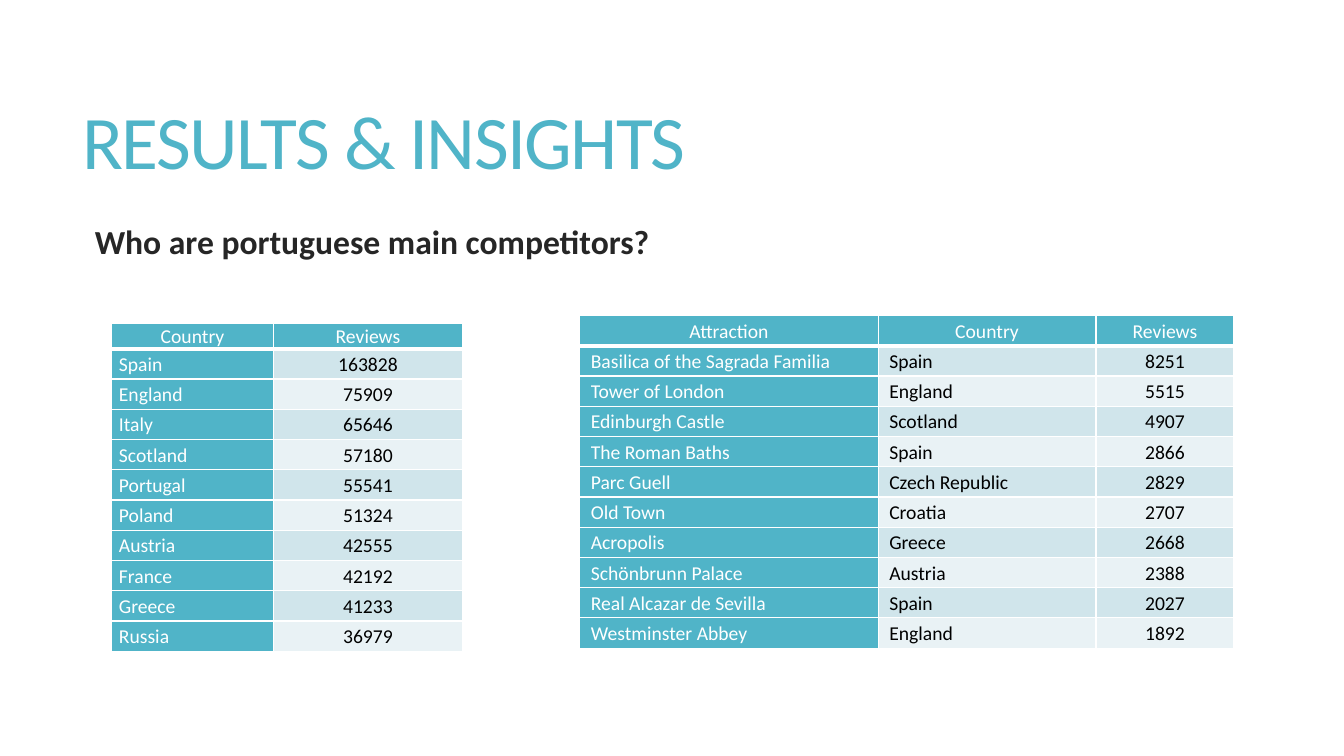
from lxml import etree
from pptx import Presentation
from pptx import util as u
from pptx.dml.color import RGBColor
from pptx.enum import text
from pptx.oxml import ns

PX = 9144  # 100 px to the inch
THEME = {
    "font": "Calibri",
    "teal": "50B4C8", "white": "FFFFFF", "black": "000000", "ink": "262626",
    "bands": ("D0E5EB", "E9F2F5"),
    "title": 54, "question": 24, "cell": 14,
    "rule": 1, "header_rule": 3,
}
LEFT, CENTER = text.PP_ALIGN.LEFT, text.PP_ALIGN.CENTER


def add_span(para, words, size, color, spacing, bold=False):
    para.line_spacing = spacing
    span = para.add_run()
    span.text = words
    span.font.name = THEME["font"]
    span.font.size = u.Pt(size)
    span.font.bold = bold
    span.font.color.rgb = RGBColor.from_string(color)
    return span


def add_borders(cell, bottom):
    properties = cell._tc.get_or_add_tcPr()
    for side in "LRTB":
        points = bottom if side == "B" else THEME["rule"]
        line = etree.SubElement(properties, ns.qn(f"a:ln{side}"), w=str(u.Pt(points)))
        fill = etree.SubElement(line, ns.qn("a:solidFill"))
        etree.SubElement(fill, ns.qn("a:srgbClr"), val=THEME["white"])


deck = Presentation()
deck.slide_width, deck.slide_height = 1333 * PX, 750 * PX
page = deck.slides.add_slide(deck.slide_layouts[6])

# Title and question
headings = [
    ("RESULTS & INSIGHTS", (72, 55, 1178, 181), 10, "title", "teal", text.MSO_ANCHOR.MIDDLE),
    ("Who are portuguese main competitors?", (74, 220, 1176, 54), 20, "question", "ink",
     text.MSO_ANCHOR.TOP),
]
for words, place, inset, size, color, anchor in headings:
    box = page.shapes.add_textbox(*(length * PX for length in place))
    frame = box.text_frame
    frame.word_wrap = True
    frame.vertical_anchor = anchor
    frame.margin_left = inset * PX
    span = add_span(frame.paragraphs[0], words, THEME[size], THEME[color], 0.85,
                    bold=size == "question")
    if size == "title":
        span.font._element.set("spc", "-120")

# Table contents
countries = [
    ("Country", "Reviews"),
    ("Spain", "163828"),
    ("England", "75909"),
    ("Italy", "65646"),
    ("Scotland", "57180"),
    ("Portugal", "55541"),
    ("Poland", "51324"),
    ("Austria", "42555"),
    ("France", "42192"),
    ("Greece", "41233"),
    ("Russia", "36979"),
]
attractions = [
    ("Attraction", "Country", "Reviews"),
    ("Basilica of the Sagrada Familia", "Spain", "8251"),
    ("Tower of London", "England", "5515"),
    ("Edinburgh Castle", "Scotland", "4907"),
    ("The Roman Baths", "Spain", "2866"),
    ("Parc Guell", "Czech Republic", "2829"),
    ("Old Town", "Croatia", "2707"),
    ("Acropolis", "Greece", "2668"),
    ("Schönbrunn Palace", "Austria", "2388"),
    ("Real Alcazar de Sevilla", "Spain", "2027"),
    ("Westminster Abbey", "England", "1892"),
]

# Tables: rows, left, top, column widths, header height, side inset
ROW = 30
tables = [
    (countries, 111, 321, (160, 188), 22, 7),
    (attractions, 575, 313, (296, 216, 137), ROW, 11),
]
for rows, left, top, widths, header, inset in tables:
    height = header + ROW * (len(rows) - 1)
    table = page.shapes.add_table(len(rows), len(widths), left * PX, top * PX,
                                  sum(widths) * PX, height * PX).table
    for column, width in zip(table.columns, widths):
        column.width = width * PX
    for r, row in enumerate(rows):
        table.rows[r].height = (ROW if r else header) * PX
        for c, words in enumerate(row):
            cell = table.cell(r, c)
            heading = r == 0 or c == 0
            add_borders(cell, THEME["rule"] if r else THEME["header_rule"])
            cell.fill.solid()
            cell.fill.fore_color.rgb = RGBColor.from_string(
                THEME["teal"] if heading else THEME["bands"][(r - 1) % 2])
            cell.vertical_anchor = text.MSO_ANCHOR.MIDDLE
            cell.margin_left = cell.margin_right = inset * PX
            cell.margin_top = cell.margin_bottom = 0
            para = cell.text_frame.paragraphs[0]
            para.alignment = CENTER if r == 0 or c == len(row) - 1 else LEFT
            add_span(para, words, THEME["cell"], THEME["white" if heading else "black"], 1.07)

deck.save("out.pptx")
